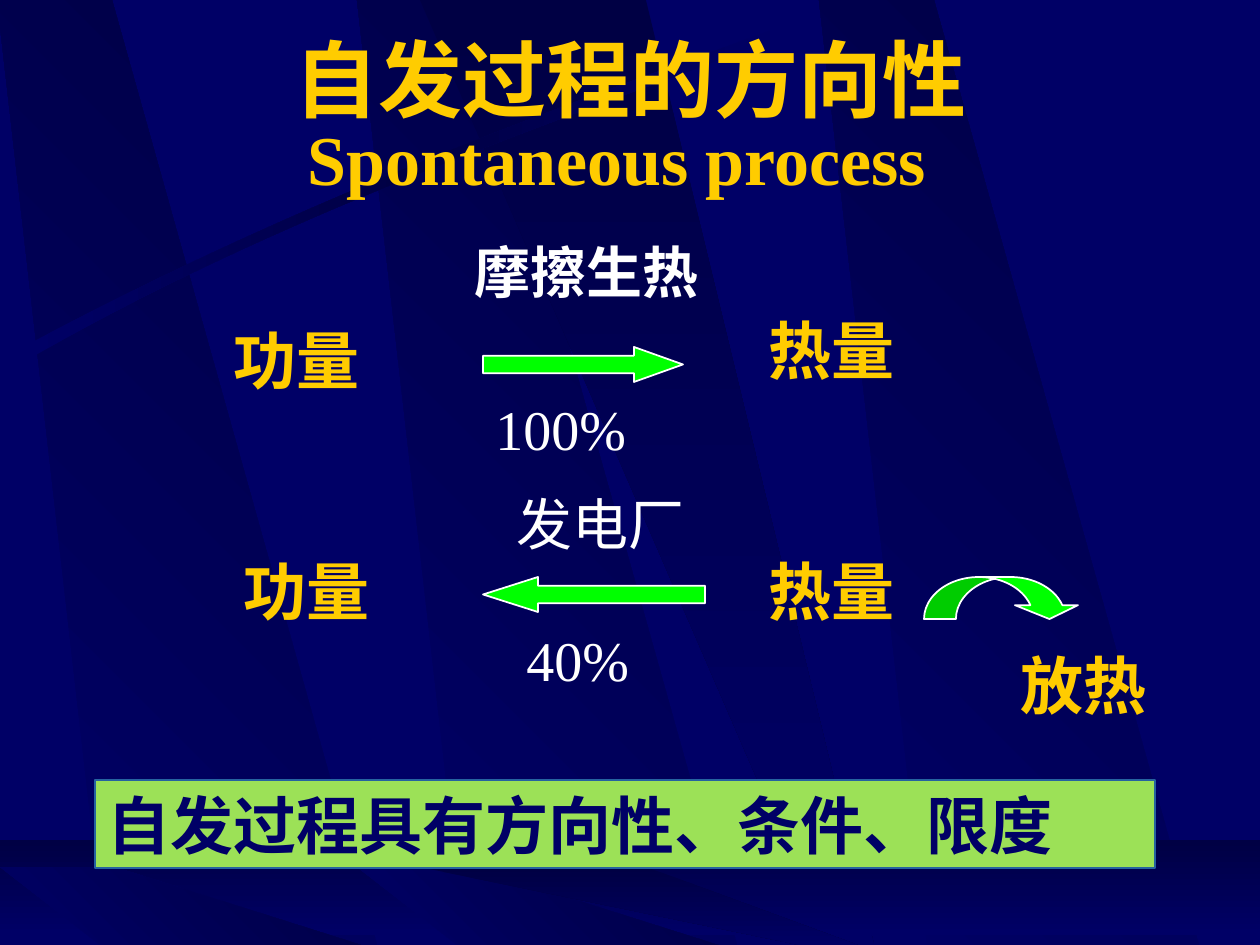
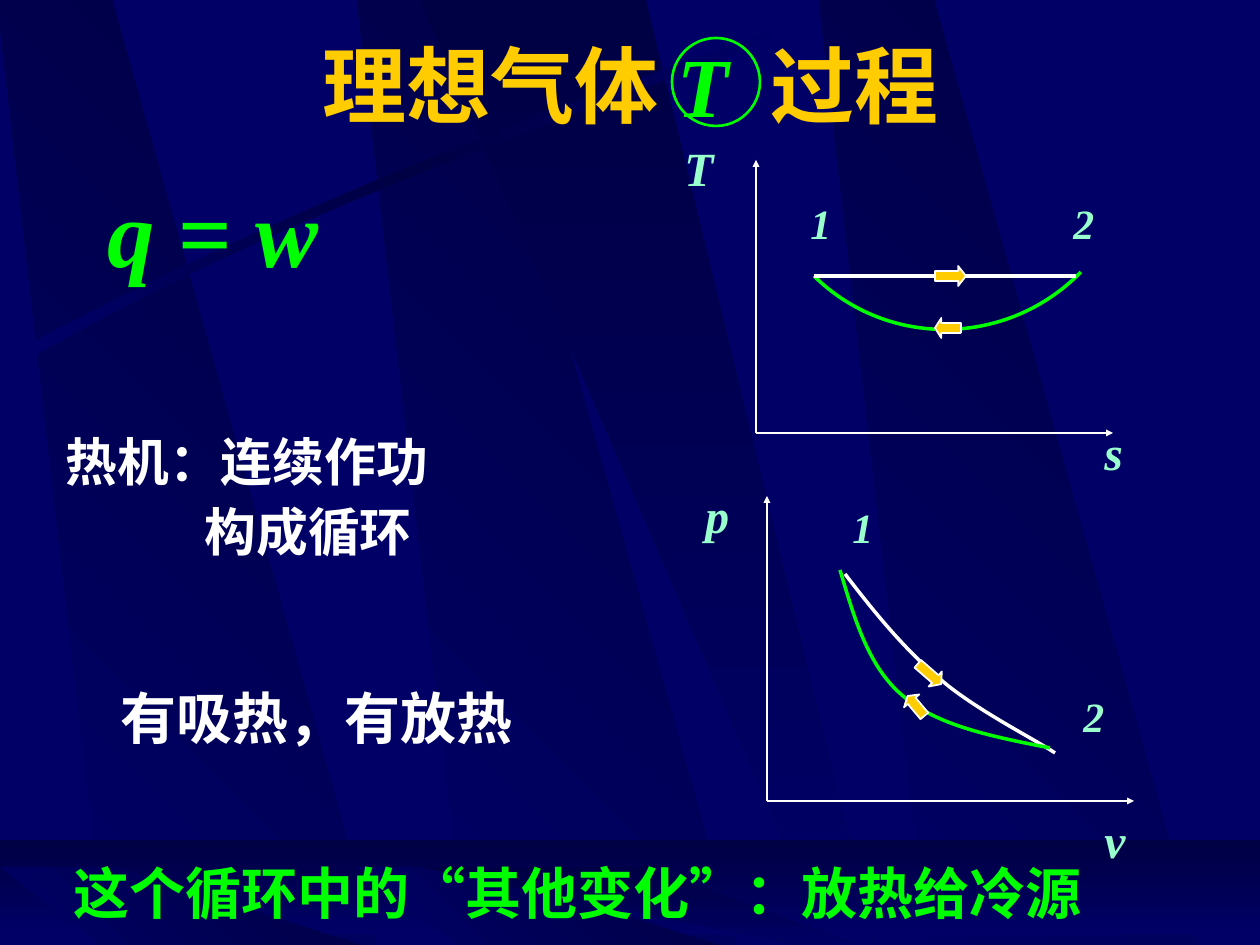
from dataclasses import dataclass

from lxml import etree
from pptx import Presentation
from pptx import util as u
from pptx.dml.color import RGBColor
from pptx.enum import shapes, text
from pptx.oxml.ns import qn

PX = 914400 / 126  # EMU in one px
SLIDE_W, SLIDE_H = 1260, 945


@dataclass(frozen=True)
class Theme:
    navy: str = "000066"
    dark: str = "000044"
    gold: str = "FFCC00"
    green: str = "00FF00"
    white: str = "FFFFFF"
    mint: str = "99FFCC"
    lime: str = "9CE157"
    steel: str = "2663A0"
    latin: str = "Times New Roman"
    cjk: str = "Noto Sans CJK SC"
    title: float = 48
    formula: float = 54
    subtitle: float = 40
    term: float = 36
    note: float = 32
    remark: float = 29.6
    axis: float = 27.2
    state: float = 23.8


T = Theme()
MSO = shapes.MSO_SHAPE
CENTER = text.PP_ALIGN.CENTER
TERM = dict(size=T.term, color=T.gold, bold=True)
NOTE = dict(size=T.note, color=T.white)
AXIS = dict(size=T.axis, color=T.mint, bold=True, italic=True, spacing=0.9)
STATE = dict(AXIS, size=T.state)


def emu(*lengths):
    return [u.Emu(round(n * PX)) for n in lengths]


def rgb(value):
    return RGBColor.from_string(value)


# ---- text ----

def add_run(p, content, size, color, bold=False, italic=False, font=T.latin, track=0):
    r = p.add_run()
    r.text = content
    r.font.size, r.font.bold, r.font.italic = u.Pt(size), bold, italic
    r.font.color.rgb = rgb(color)
    r.font.name = font
    r_pr = r._r.get_or_add_rPr()
    r_pr.set("lang", "zh-CN")
    etree.SubElement(r_pr, qn("a:ea"), typeface=T.cjk)
    if track:
        r_pr.set("spc", str(track * 100))


def write(tf, content, align=None, spacing=None, before=0, indents=(0,), wrap=True,
          anchor=text.MSO_ANCHOR.TOP, **fmt):
    """Fill a frame: one paragraph a line, each line a string or (text, changes) pairs."""
    tf.word_wrap = wrap
    tf.auto_size = text.MSO_AUTO_SIZE.NONE
    tf.vertical_anchor = anchor
    lines = [content] if isinstance(content, str) else content
    for i, line in enumerate(lines):
        p = tf.paragraphs[0] if i == 0 else tf.add_paragraph()
        p_pr = p._p.get_or_add_pPr()
        p_pr.set("marL", str(emu(indents[i])[0]))
        p_pr.set("indent", "0")
        etree.SubElement(p_pr, qn("a:buNone"))
        p.alignment = align or text.PP_ALIGN.LEFT
        p.line_spacing = spacing
        p.space_before = u.Pt(before if i else 0)
        for part, changes in [(line, {})] if isinstance(line, str) else line:
            add_run(p, part, **{**fmt, **changes})


def add_text(s, box, content, **fmt):
    write(s.shapes.add_textbox(*emu(*box)).text_frame, content, **fmt)


def fill_placeholder(sp, box, content, **fmt):
    sp.left, sp.top, sp.width, sp.height = emu(*box)
    write(sp.text_frame, content, **fmt)


def set_title(s, top, content):
    fill_placeholder(s.shapes.title, (95, top, 1071, 113), content, align=CENTER,
                     anchor=text.MSO_ANCHOR.MIDDLE, size=T.title, color=T.gold,
                     bold=True, font=T.cjk)


# ---- shapes ----

def paint(sp, fill=None, line=None, width=1):
    sp.shadow.inherit = False
    if fill:
        sp.fill.solid()
        sp.fill.fore_color.rgb = rgb(fill)
    else:
        sp.fill.background()
    if line:
        sp.line.color.rgb = rgb(line)
        sp.line.width = u.Pt(width)
    else:
        sp.line.fill.background()
    return sp


def add_shape(s, kind, box, fill=None, line=T.white, width=1, adj=(), rot=0):
    sp = paint(s.shapes.add_shape(kind, *emu(*box)), fill, line, width)
    for i, value in enumerate(adj):
        sp.adjustments[i] = value
    sp.rotation = rot
    return sp


def add_line(s, start, end, width, arrow=False):
    c = s.shapes.add_connector(shapes.MSO_CONNECTOR.STRAIGHT, *emu(*start, *end))
    c.line.color.rgb = rgb(T.white)
    c.line.width = u.Pt(width)
    if arrow:
        etree.SubElement(c.line._get_or_add_ln(), qn("a:tailEnd"),
                         type="triangle", w="sm", len="sm")
    etree.SubElement(c._element.spPr, qn("a:effectLst"))


def add_outline(s, start, segments, close=False):
    """Each segment is one point (a line) or two controls and an end (a cubic curve)."""
    builder = s.shapes.build_freeform(*emu(*start))
    builder.add_line_segments([emu(*pt) for seg in segments for pt in seg], close=close)
    sp = builder.convert_to_shape()
    steps = iter(sp.element.findall(".//" + qn("a:lnTo")))
    for seg in segments:
        first, *others = [next(steps) for _ in seg]
        if others:
            first.tag = qn("a:cubicBezTo")
            for step in others:
                first.append(step[0])
                step.getparent().remove(step)
    return sp


def add_curve(s, start, segments, color):
    paint(add_outline(s, start, segments), line=color, width=2)


def add_polygon(s, start, *points):
    return add_outline(s, start, [(pt,) for pt in points], close=True)


# ---- shared backdrop, kept on the master ----

def shade(sp, colors, angle):
    paint(sp)
    sp.fill.gradient()
    sp.fill.gradient_angle = (360 - angle) % 360
    stops = sp.element.find(".//" + qn("a:gsLst"))
    for stop in list(stops):
        stops.remove(stop)
    for i, color in enumerate(colors):
        gs = etree.SubElement(stops, qn("a:gs"), pos=str(100000 * i // (len(colors) - 1)))
        etree.SubElement(gs, qn("a:srgbClr"), val=color)
    return sp


def streak(s, x, y, h):
    sp = add_polygon(s, (x, y), (x + 108, y + h), (x + 380, y + h), (x + 115, y))
    return shade(sp, (T.navy, T.dark), 315)


def shaft(s, y, h):
    sp = add_polygon(s, (420, y), (829, y + h), (874, y + h), (646, y))
    return shade(sp, (T.dark, T.navy), 90)


def add_backdrop(master, s):
    """Draw on slide s, then move the parts behind everything on the master."""
    parts = [streak(s, x, 0, SLIDE_H) for x in (357, -3, 819)]
    parts.append(shaft(s, 0, SLIDE_H))
    beam = add_outline(s, (25, 346), [((358, 169), (660, 74), (789, 23)), ((793, 30),),
                                      ((665, 87), (320, 190), (29, 359))], close=True)
    parts.append(shade(beam, (T.navy, T.dark, T.navy), 0))
    floor = add_shape(s, MSO.RECTANGLE, (0, 840, SLIDE_W, 95), line=None)
    parts.append(shade(floor, (T.dark, T.navy), 90))
    parts += [streak(s, x, 867, 84) for x in (357, 0)]
    parts.append(shaft(s, 867, 84))
    for i, sp in enumerate(parts):
        sp.element.find(".//" + qn("p:cNvPr")).set("id", str(100 + i))
        master.shapes.element.insert(2 + i, sp.element)
    master.background.fill.solid()
    master.background.fill.fore_color.rgb = rgb(T.navy)


# ---- slides ----

def build_direction(s):
    set_title(s, 21, "自发过程的方向性")
    add_text(s, (295, 109, 645, 97), "Spontaneous process", size=T.subtitle,
             color=T.gold, bold=True, wrap=False)

    # Work to heat, and heat back to work
    fill_placeholder(s.placeholders[1], (221, 315, 168, 105), "功量", **TERM)
    for x, y, w, term in ((756, 305, 168, "热量"), (756, 546, 222, "热量"),
                          (231, 546, 168, "功量"), (1008, 640, 208, "放热")):
        add_text(s, (x, y, w, 105), term, **TERM)
    for x, y, w, note, bold in ((462, 231, 284, "摩擦生热", True),
                                (483, 388, 168, "100%", False),
                                (504, 483, 210, "发电厂", False),
                                (514, 619, 168, "40%", False)):
        add_text(s, (x, y, w, 95), note, bold=bold, **NOTE)
    for kind, box, adj in ((MSO.RIGHT_ARROW, (483, 347, 200, 35), (0.5, 1.4)),
                           (MSO.LEFT_ARROW, (483, 577, 222, 35), (0.5, 1.57)),
                           (MSO.CURVED_DOWN_ARROW, (924, 577, 157, 42), (0.76, 1.5, 0.33))):
        add_shape(s, kind, box, T.green, adj=adj)

    # Conclusion bar
    bar = add_shape(s, MSO.RECTANGLE, (95, 780, 1060, 88), T.lime, T.steel, 0.75)
    write(bar.text_frame, "自发过程具有方向性、条件、限度", size=T.term,
          color=T.navy, bold=True)


def build_isothermal(s):
    set_title(s, 27, [[("理想气体 ", {}),
                       ("T ", dict(font=T.latin, color=T.green, italic=True, track=6)),
                       ("过程", {})]])
    add_shape(s, MSO.OVAL, (672, 38, 88, 88), line=T.green, width=1.5)
    fill_placeholder(s.placeholders[1], (95, 189, 294, 105),
                     [[("q", dict(italic=True)), (" = ", {}), ("w", dict(italic=True))]],
                     size=T.formula, color=T.green, bold=True, spacing=0.8)

    # Axes of the T-s and p-v diagrams
    for x, y, top, right in ((756, 433, 160, 1113), (767, 801, 496, 1134)):
        add_line(s, (x, y), (x, top), 1.5, arrow=True)
        add_line(s, (x, y), (right, y), 1.5, arrow=True)
    for x, y, name in ((672, 139, "T"), (1092, 423, "s"), (693, 486, "p"), (1092, 811, "v")):
        add_text(s, (x, y, 63, 73), name, **AXIS)
    for x, y, name in ((798, 197, "1"), (1061, 197, "2"), (840, 501, "1"), (1071, 690, "2")):
        add_text(s, (x, y, 63, 73), name, **STATE)

    # Forward and return processes
    add_curve(s, (814, 276), [((888, 349), (1008, 347), (1081, 272))], T.green)
    add_line(s, (814, 276), (1076, 276), 2)
    add_curve(s, (845, 574), [((874, 612), (905, 650), (940, 679)),
                              ((974, 709), (1036, 740), (1055, 753))], T.white)
    add_curve(s, (1050, 748), [((994, 737), (937, 726), (903, 696)),
                               ((868, 667), (854, 617), (840, 570))], T.green)
    for x, y, rot in ((935, 266, 0), (914, 664, 41)):
        add_shape(s, MSO.RIGHT_ARROW, (x, y, 31, 20), T.gold, adj=(0.5, 0.39), rot=rot)
    for x, y, rot in ((935, 318, 0), (903, 696, 50)):
        add_shape(s, MSO.LEFT_ARROW, (x, y, 26, 20), T.gold, adj=(0.5, 0.32), rot=rot)

    # Remarks on the heat engine
    add_text(s, (53, 431, 508, 158), ["热机：连续作功", "构成循环"], size=T.remark,
             color=T.white, bold=True, spacing=0.9, before=8, indents=(0, 139))
    add_text(s, (63, 677, 508, 81), "有吸热，有放热", align=CENTER, bold=True, **NOTE)
    add_text(s, (53, 852, 1050, 81), "这个循环中的“其他变化”：放热给冷源", align=CENTER,
             size=T.note, color=T.green, bold=True)


def main():
    prs = Presentation()
    prs.slide_width, prs.slide_height = emu(SLIDE_W, SLIDE_H)
    direction, isothermal = [prs.slides.add_slide(prs.slide_layouts[1]) for _ in range(2)]
    add_backdrop(prs.slide_master, direction)
    build_direction(direction)
    build_isothermal(isothermal)
    prs.save("out.pptx")


if __name__ == "__main__":
    main()
